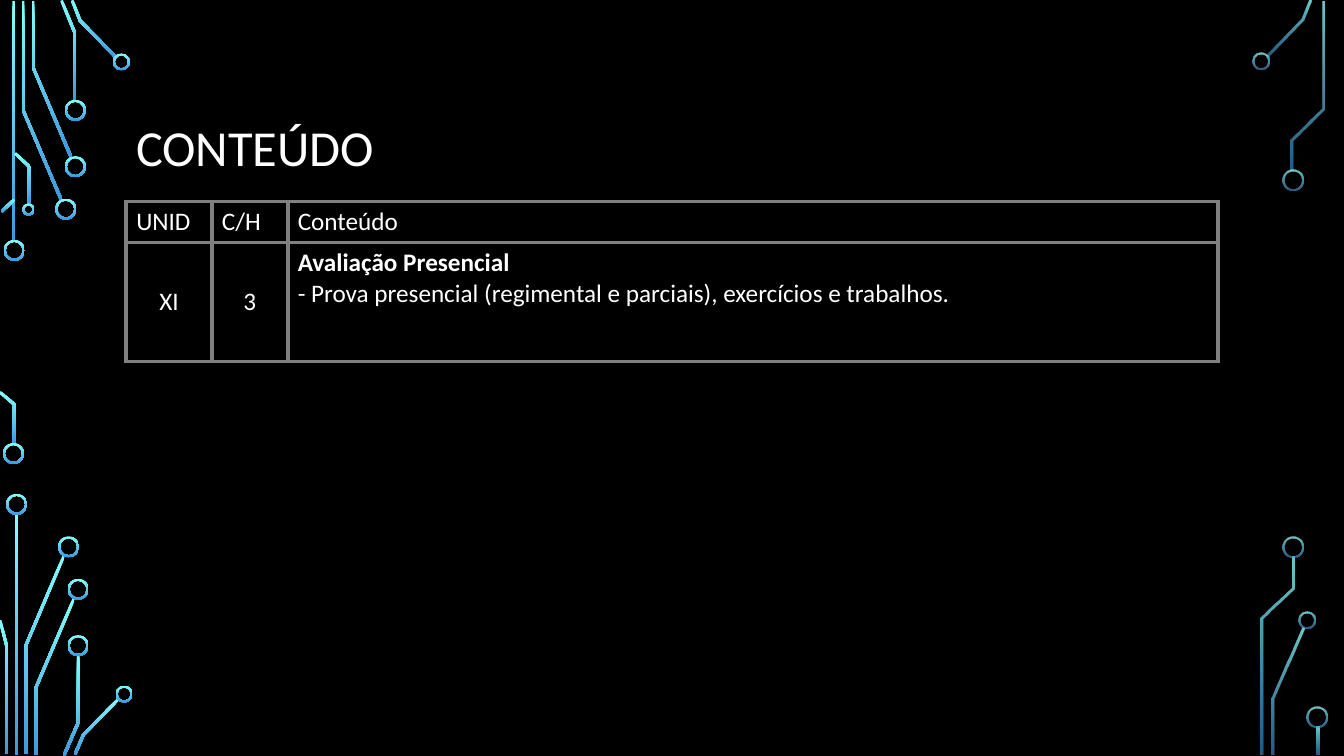
"""Build the course content slide with its circuit-board border."""
import math
from dataclasses import dataclass

from lxml import etree
from pptx import Presentation
from pptx import util as u
from pptx.dml.color import RGBColor
from pptx.enum import shapes, text
from pptx.oxml.ns import qn


@dataclass(frozen=True)
class Theme:
    font: str = "Calibri"
    title_size: int = 36
    body_size: int = 18
    background: str = "000000"
    ink: str = "FFFFFF"
    border: str = "808080"
    border_width: int = 3
    glow_top: str = "82FFFF"
    glow_bottom: str = "3D97DE"
    trace: float = 0.07
    ring: float = 0.05


OPAQUE = (100, 100)
FADED = (80, 60)
BIG, MEDIUM, SMALL = 0.53, 0.43, 0.31

LEFT_STEMS = [(0.31, 0.03, 6.07), (0.38, 12.95, 6.07)]
LEFT_TRACES = [
    [(1.55, 5.05), (0.58, 2.77), (0.58, 0.03)],
    [(1.8, 3.98), (0.83, 1.69), (0.83, 0.03)],
    [(1.89, 2.54), (1.89, 0.84), (1.55, 0.01)],
    [(2.93, 1.45), (2.02, 0.52), (1.82, 0.01)],
    [(0.04, 5.33), (0.36, 5.03)],
    [(0.36, 11.2), (0.36, 10.19), (0, 9.88)],
    [(0.74, 5.16), (0.74, 4.2), (0.38, 3.86)],
    [(0.65, 19), (0.65, 16.27), (1.61, 14.01)],
    [(0.17, 19), (0.17, 16.28), (0, 15.63)],
    [(0.9, 19.02), (0.9, 17.34), (1.87, 15.07)],
    [(1.61, 19.04), (1.97, 18.21), (1.97, 16.51)],
    [(1.89, 19.01), (2.1, 18.52), (3, 17.6)],
]
LEFT_RINGS = [
    (0.36, 6.31, BIG), (0.34, 11.43, BIG), (1.66, 5.27, BIG),
    (1.9, 4.2, BIG), (1.9, 2.78, BIG), (3.06, 1.56, MEDIUM),
    (0.72, 5.28, SMALL), (0.42, 12.71, BIG), (1.73, 13.78, BIG),
    (1.97, 14.85, BIG), (1.97, 16.27, BIG), (3.13, 17.49, MEDIUM),
]
RIGHT_STEMS = [(33.18, 18.31, 0.71)]
RIGHT_TRACES = [
    [(31.93, 1.41), (32.83, 0.5), (33.03, 0.01)],
    [(32.07, 19.02), (32.07, 17.61), (32.84, 15.84)],
    [(32.56, 4.29), (32.56, 3.52), (33.34, 2.73), (33.34, 0.03)],
    [(31.81, 19.02), (31.81, 15.58), (32.6, 14.82), (32.6, 14.02)],
]
RIGHT_RINGS = [
    (31.79, 1.54, MEDIUM), (32.58, 4.53, BIG), (32.93, 15.63, MEDIUM),
    (32.59, 13.78, BIG), (33.19, 18.08, BIG),
]

COLUMNS = [2.16, 1.91, 23.44]
ROWS = [1.03, 3]
CONTENT = [
    ["UNID", "C/H", "Conteúdo"],
    ["XI", "3", "Avaliação Presencial"],
]
DETAIL = "- Prova presencial (regimental e parciais), exercícios e trabalhos."


def write(p, content, *, theme, size, bold=False, align=None, spacing=None):
    r = p.add_run()
    r.text = content
    r.font.name = theme.font
    r.font.size = u.Pt(size)
    r.font.bold = bold
    r.font.color.rgb = RGBColor.from_string(theme.ink)
    p.alignment = align
    p.line_spacing = spacing


def outline(points, width):
    headings = [math.atan2(y2 - y1, x2 - x1)
                for (x1, y1), (x2, y2) in zip(points, points[1:])]
    near, far = [], []
    for (x, y), a, b in zip(points, headings[:1] + headings, headings + headings[-1:]):
        reach = width / 2 / math.cos((b - a) / 2)
        dx = -math.sin((a + b) / 2) * reach
        dy = math.cos((a + b) / 2) * reach
        near.append((x + dx, y + dy))
        far.append((x - dx, y - dy))
    return near + far[::-1]


class Deck:
    def __init__(self, theme):
        self.theme = theme
        self.prs = Presentation()
        self.prs.slide_width, self.prs.slide_height = u.Cm(33.87), u.Cm(19.05)
        self.s = self.prs.slides.add_slide(self.prs.slide_layouts[6])
        fill = self.s.background.fill
        fill.solid()
        fill.fore_color.rgb = RGBColor.from_string(theme.background)

    def glow(self, sp, alphas):
        sp.shadow.inherit = False
        sp.line.fill.background()
        sp.fill.gradient()
        sp.fill.gradient_angle = 270
        colors = (self.theme.glow_top, self.theme.glow_bottom)
        for stop, color in zip(sp.fill.gradient_stops, colors):
            stop.color.rgb = RGBColor.from_string(color)
        for clr, alpha in zip(sp._element.spPr.iter(qn("a:srgbClr")), alphas):
            etree.SubElement(clr, qn("a:alpha"), val=str(alpha * 1000))

    def stem(self, x, y, height, alphas):
        sp = self.s.shapes.add_shape(shapes.MSO_SHAPE.RECTANGLE, u.Cm(x), u.Cm(y),
                                     u.Cm(self.theme.trace), u.Cm(height))
        self.glow(sp, alphas)

    def trace(self, points, alphas):
        corners = [(u.Cm(x), u.Cm(y)) for x, y in outline(points, self.theme.trace)]
        builder = self.s.shapes.build_freeform(*corners[0])
        builder.add_line_segments(corners[1:], close=True)
        self.glow(builder.convert_to_shape(), alphas)

    def ring(self, cx, cy, size, alphas):
        sp = self.s.shapes.add_shape(shapes.MSO_SHAPE.DONUT, u.Cm(cx - size / 2),
                                     u.Cm(cy - size / 2), u.Cm(size), u.Cm(size))
        sp.adjustments[0] = self.theme.ring / size
        self.glow(sp, alphas)

    def circuit(self, stems, traces, rings, alphas):
        for stem in stems:
            self.stem(*stem, alphas)
        for points in traces:
            self.trace(points, alphas)
        for ring in rings:
            self.ring(*ring, alphas)

    def title(self, content, x, y, width, height):
        tf = self.s.shapes.add_textbox(u.Cm(x), u.Cm(y), u.Cm(width), u.Cm(height)).text_frame
        tf.word_wrap = True
        tf.vertical_anchor = text.MSO_ANCHOR.MIDDLE
        write(tf.paragraphs[0], content, theme=self.theme,
              size=self.theme.title_size, spacing=0.9)

    def frame(self, cell):
        tc_pr = cell._tc.get_or_add_tcPr()
        for side in ("a:lnL", "a:lnR", "a:lnT", "a:lnB"):
            ln = etree.SubElement(tc_pr, qn(side), w=str(u.Pt(self.theme.border_width)))
            fill = etree.SubElement(ln, qn("a:solidFill"))
            etree.SubElement(fill, qn("a:srgbClr"), val=self.theme.border)
        cell.fill.solid()
        cell.fill.fore_color.rgb = RGBColor.from_string(self.theme.background)

    def table(self, x, y, columns, rows, content):
        table = self.s.shapes.add_table(len(rows), len(columns), u.Cm(x), u.Cm(y),
                                        u.Cm(sum(columns)), u.Cm(sum(rows))).table
        table.first_row = table.horz_banding = False
        for column, width in zip(table.columns, columns):
            column.width = u.Cm(width)
        for i, height in enumerate(rows):
            table.rows[i].height = u.Cm(height)
            for j, value in enumerate(content[i]):
                cell = table.cell(i, j)
                self.frame(cell)
                centred = i > 0 and j < 2
                if centred:
                    cell.vertical_anchor = text.MSO_ANCHOR.MIDDLE
                write(cell.text_frame.paragraphs[0], value, theme=self.theme,
                      size=self.theme.body_size, bold=i > 0 and j == 2,
                      align=text.PP_ALIGN.CENTER if centred else None)
        return table


def main():
    deck = Deck(Theme())
    deck.circuit(LEFT_STEMS, LEFT_TRACES, LEFT_RINGS, OPAQUE)
    deck.circuit(RIGHT_STEMS, RIGHT_TRACES, RIGHT_RINGS, FADED)
    deck.title("CONTEÚDO", 3.18, 1.73, 27.51, 4.11)
    table = deck.table(3.18, 5.08, COLUMNS, ROWS, CONTENT)
    write(table.cell(1, 2).text_frame.add_paragraph(), DETAIL,
          theme=deck.theme, size=deck.theme.body_size)
    deck.prs.save("out.pptx")


if __name__ == "__main__":
    main()
